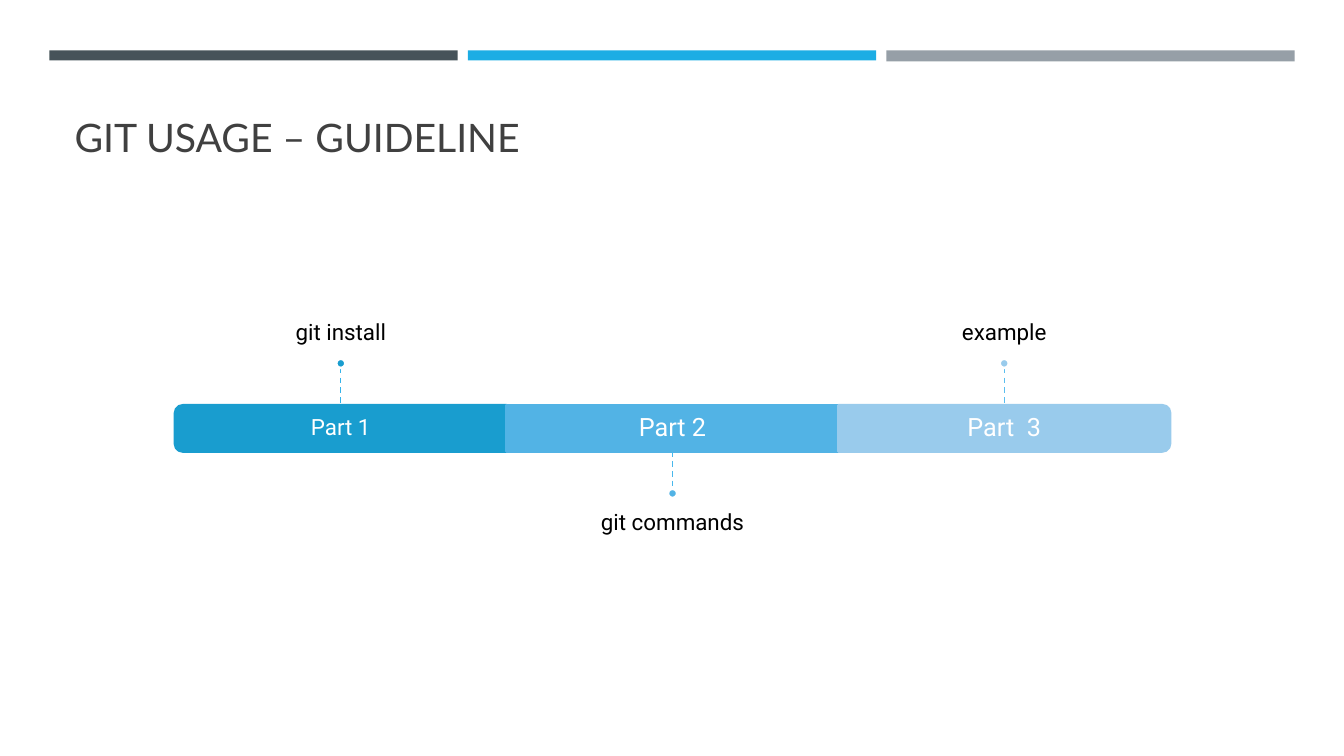
"""Build the Git usage guideline slide with a three-part timeline."""
from lxml import etree
from pptx import Presentation
from pptx.dml.color import RGBColor
from pptx.enum import dml, shapes, text
from pptx.oxml.ns import qn
from pptx.util import Inches, Pt

SHAPE = shapes.MSO_SHAPE
ANCHOR = text.MSO_ANCHOR
ALIGN = text.PP_ALIGN

prs = Presentation()
prs.slide_width, prs.slide_height = Inches(13.33), Inches(7.5)
slide = prs.slides.add_slide(prs.slide_layouts[5])


def add_block(kind, left, top, width, height, fill, line=None):
    sp = slide.shapes.add_shape(kind, Inches(left), Inches(top), Inches(width), Inches(height))
    sp.shadow.inherit = False
    sp.fill.solid()
    sp.fill.fore_color.rgb = RGBColor.from_string(fill)
    if line:
        sp.line.color.rgb = RGBColor.from_string(line)
        sp.line.width = Pt(1.75)
    else:
        sp.line.fill.background()
    return sp


def set_text(sp, words, font="Roboto", size=16, color="000000", align=ALIGN.CENTER,
             anchor=ANCHOR.MIDDLE, insets=(0, 0, 0, 0), spacing=0.9):
    tf = sp.text_frame
    tf.word_wrap = True
    tf.auto_size = text.MSO_AUTO_SIZE.NONE
    tf.vertical_anchor = anchor
    tf.margin_left, tf.margin_top, tf.margin_right, tf.margin_bottom = map(Inches, insets)
    p = tf.paragraphs[0]
    p.alignment = align
    p.line_spacing = spacing
    r = p.add_run()
    r.text = words
    r.font.name = font
    r.font.size = Pt(size)
    r.font.color.rgb = RGBColor.from_string(color)


for i, (color, height) in enumerate([("465359", 0.1), ("1CADE4", 0.1), ("969FA7", 0.11)]):
    add_block(SHAPE.RECTANGLE, 0.49 + 4.15 * i, 0.5, 4.05, height, color)

title = slide.shapes.title
title.left, title.top, title.width, title.height = map(Inches, (0.64, 0.77, 12.06, 0.87))
set_text(title, "GIT USAGE – GUIDELINE", font="Lato", size=28, color="404040", align=ALIGN.LEFT,
         anchor=ANCHOR.BOTTOM, insets=(0.1, 0.05, 0.1, 0.05), spacing=1.0)

part_w, part_h, part_top = 3.29, 0.46, 4.02
part_bottom = part_top + part_h
stem, dot, label_w, label_h = 0.37, 0.09, 5.48, 1.6
parts = [
    ("Part 1", 16, "git install", "199DCF", "36B3E9", 270),
    ("Part 2", 18, "git commands", "52B3E5", "48B8EC", 0),
    ("Part  3", 18, "example", "99CBEC", "5ABEEF", 90),
]
for i, (name, size, label, color, stem_color, turn) in enumerate(parts):
    center = 3.38 + part_w * i
    middle = part_top + part_h / 2
    if turn:
        sp = add_block(SHAPE.ROUND_2_SAME_RECTANGLE, center - part_h / 2, middle - part_w / 2,
                       part_h, part_w, color, color)
        sp.rotation = turn
    else:
        add_block(SHAPE.RECTANGLE, center - part_w / 2, part_top, part_w, part_h, color, color)

    caption = slide.shapes.add_textbox(Inches(center - part_w / 2), Inches(part_top),
                                       Inches(part_w), Inches(part_h))
    set_text(caption, name, size=size, color="FFFFFF", insets=(0.15, 0.15, 0.15, 0.15))

    above = turn != 0
    start = part_top - stem if above else part_bottom
    dot_top = start - dot if above else start + stem
    label_top = dot_top - label_h if above else dot_top + dot
    note = slide.shapes.add_textbox(Inches(center - label_w / 2), Inches(label_top),
                                    Inches(label_w), Inches(label_h))
    set_text(note, label, anchor=ANCHOR.BOTTOM if above else ANCHOR.TOP,
             insets=(0, 0, 0, 0.13) if above else (0, 0.13, 0, 0))

    line = slide.shapes.add_connector(shapes.MSO_CONNECTOR.STRAIGHT, Inches(center), Inches(start),
                                      Inches(center), Inches(start + stem))
    line.line.color.rgb = RGBColor.from_string(stem_color)
    line.line.width = Pt(1)
    line.line.dash_style = dml.MSO_LINE.DASH
    etree.SubElement(line._element.spPr, qn("a:effectLst"))
    add_block(SHAPE.OVAL, center - dot / 2, dot_top, dot, dot, color, "FFFFFF")

prs.save("out.pptx")
